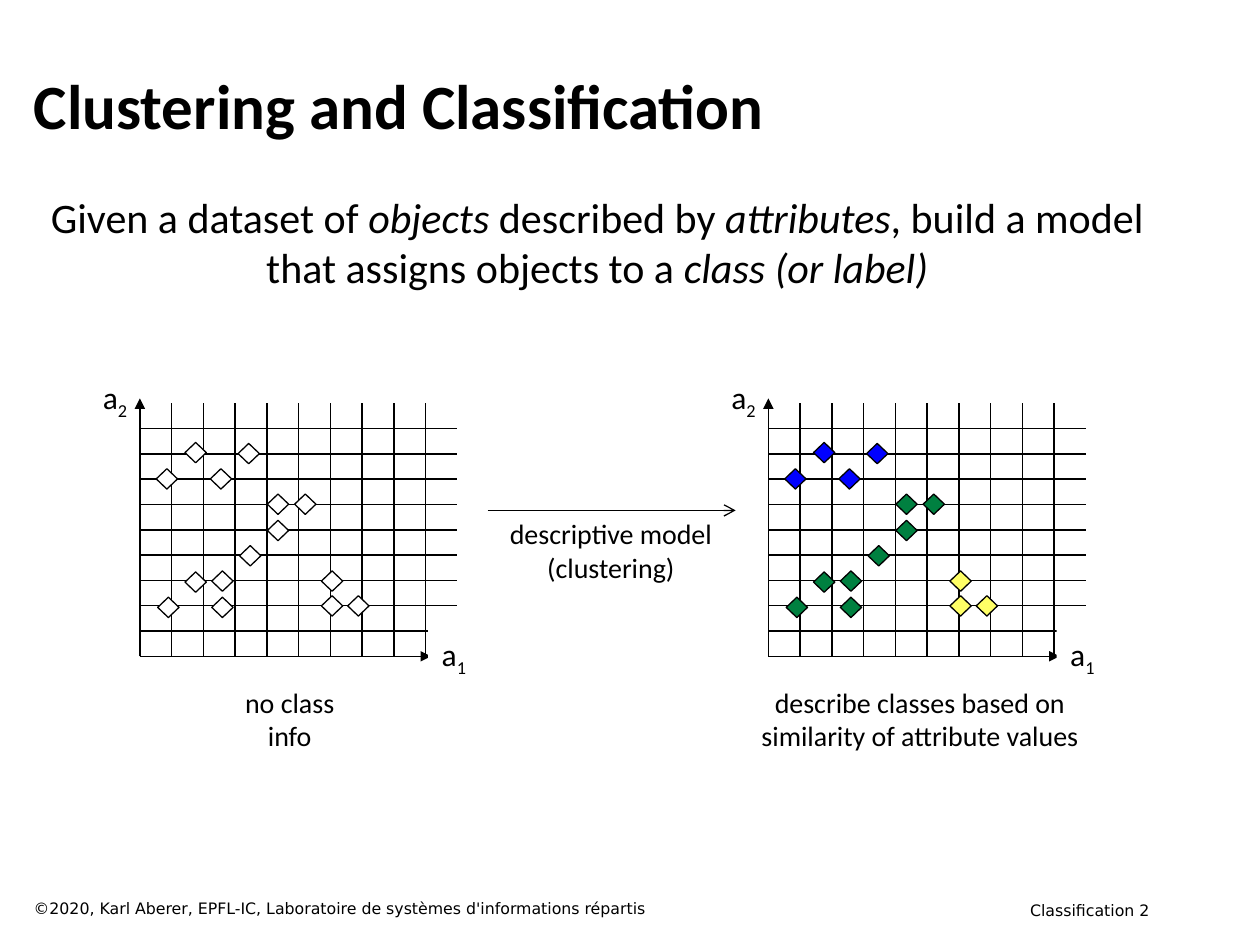
from lxml import etree
from pptx import Presentation
from pptx.dml.color import RGBColor
from pptx.enum import shapes, text
from pptx.oxml.ns import qn
from pptx.util import Cm, Pt

COLORS = {"black": "000000", "white": "FFFFFF", "green": "008040",
          "yellow": "FFFF66", "blue": "0000FF"}
RGB = {name: RGBColor.from_string(value) for name, value in COLORS.items()}
ALIGN = text.PP_ALIGN


def put_text(sp, paragraphs, size, align, font="Calibri", wrap=True):
    """Fill a shape; each paragraph is a list of (text, style) runs."""
    tf = sp.text_frame
    tf.word_wrap = wrap
    for i, runs in enumerate(paragraphs):
        p = tf.add_paragraph() if i else tf.paragraphs[0]
        p.alignment = align
        for words, style in runs:
            r = p.add_run()
            r.text = words
            r.font.name, r.font.size = font, Pt(size)
            r.font.color.rgb = RGB["black"]
            r.font.bold = style == "bold"
            r.font.italic = style == "italic"
            if style == "sub":
                r.font._element.set("baseline", "-25000")


def add_arrow(x1, y1, x2, y2, head):
    line = s.shapes.add_connector(shapes.MSO_CONNECTOR.STRAIGHT,
                                  Cm(x1), Cm(y1), Cm(x2), Cm(y2))
    line.line.color.rgb = RGB["black"]
    line.line.width = Pt(0.75)
    etree.SubElement(line.line._get_or_add_ln(), qn("a:tailEnd"), type=head)
    etree.SubElement(line._element.spPr, qn("a:effectLst"))


prs = Presentation()
prs.slide_width, prs.slide_height = Cm(25.4), Cm(19.05)
s = prs.slides.add_slide(prs.slide_layouts[5])

# Title
title = s.shapes.title
title.left, title.top, title.width, title.height = Cm(0.43), Cm(0.84), Cm(23.06), Cm(2.54)
title.text_frame.vertical_anchor = text.MSO_ANCHOR.MIDDLE
put_text(title, [[("Clustering and Classification", "bold")]], 36, ALIGN.LEFT)

# Definition
body = s.shapes.add_textbox(Cm(0.51), Cm(3.73), Cm(23.06), Cm(13.97))
put_text(body, [[("Given a dataset of ", ""), ("objects", "italic"),
                 (" described by ", ""), ("attributes", "italic"),
                 (", build a model that assigns objects to a ", ""),
                 ("class (or label)", "italic")]], 24, ALIGN.CENTER)

# Footer
footer = s.shapes.add_textbox(Cm(0.43), Cm(17.99), Cm(16.31), Cm(0.64))
put_text(footer, [[("©2020, Karl Aberer, EPFL-IC, Laboratoire de systèmes "
                    "d'informations répartis", "")]], 9, ALIGN.LEFT, "DejaVu Sans")
page = s.shapes.add_textbox(Cm(17.63), Cm(18.03), Cm(5.79), Cm(0.41))
put_text(page, [[("Classification 2", "")]], 9, ALIGN.RIGHT, "DejaVu Sans")

# Object positions: x from the vertical axis, y on the slide
GROUPS = {
    "green": [(0.36, 12.04), (0.91, 11.53), (1.45, 11.51), (1.45, 12.04),
              (2.01, 11), (2.57, 10.49), (2.57, 9.96), (3.12, 9.96)],
    "yellow": [(3.66, 11.51), (3.66, 12.01), (4.19, 12.01)],
    "blue": [(0.91, 8.92), (1.42, 9.45), (0.33, 9.45), (1.98, 8.94)],
}
N, COL, ROW = 10, 0.64, 0.51
AXIS_Y = 13.23

# Two plots: axis x, whether classes are coloured, caption (left, width, lines)
PLOTS = [
    (2.82, False, 4.67, 2.34, ["no class", "info"]),
    (15.49, True, 15.04, 7.01, ["describe classes based on", "similarity of attribute values"]),
]
for x0, classed, cap_left, cap_width, caption in PLOTS:
    # Grid with inner borders only
    frame = s.shapes.add_table(N, N, Cm(x0), Cm(8.13), Cm(N * COL), Cm(N * ROW))
    table = frame.table
    table.first_row = table.horz_banding = False
    for i in range(N):
        table.columns[i].width = Cm(COL)
        table.rows[i].height = Cm(ROW)
        for j in range(N):
            cell = table.cell(i, j)
            cell.margin_left = cell.margin_right = cell.margin_top = cell.margin_bottom = 0
            etree.SubElement(cell.text_frame.paragraphs[0]._p, qn("a:endParaRPr"), sz="100")
            tc_pr = cell._tc.get_or_add_tcPr()
            inner = {"lnL": j > 0, "lnR": j < N - 1, "lnT": i > 0, "lnB": i < N - 1}
            for tag, shown in inner.items():
                ln = etree.SubElement(tc_pr, qn("a:" + tag), w=str(Pt(1)))
                fill = etree.SubElement(ln, qn("a:solidFill" if shown else "a:noFill"))
                if shown:
                    etree.SubElement(fill, qn("a:srgbClr"), val=COLORS["black"])
            cell.fill.solid()
            cell.fill.fore_color.rgb = RGB["white"]

    # Axes
    add_arrow(x0, AXIS_Y, x0, 8.03, "triangle")
    add_arrow(x0, AXIS_Y, x0 + 5.87, AXIS_Y, "triangle")

    # Objects
    for color, points in GROUPS.items():
        for dx, y in points:
            sp = s.shapes.add_shape(shapes.MSO_SHAPE.DIAMOND,
                                    Cm(x0 + dx), Cm(y), Cm(0.43), Cm(0.41))
            sp.shadow.inherit = False
            sp.fill.solid()
            sp.fill.fore_color.rgb = RGB[color if classed else "white"]
            sp.line.color.rgb = RGB["black"]
            sp.line.width = Pt(0.75)

    # Axis labels; the upper one lies behind the grid and the arrowhead
    for index, dx, y in [("2", -1.02, 7.49), ("1", 5.81, 12.67)]:
        label = s.shapes.add_textbox(Cm(x0 + dx), Cm(y), Cm(1.04), Cm(1.02))
        label.fill.solid()
        label.fill.fore_color.rgb = RGB["white"]
        put_text(label, [[("a", ""), (index, "sub")]], 18, ALIGN.CENTER, wrap=False)
        if index == "2":
            frame._element.addprevious(label._element)

    # Caption
    sp = s.shapes.add_textbox(Cm(cap_left), Cm(13.69), Cm(cap_width), Cm(1.63))
    put_text(sp, [[(words, "")] for words in caption], 16, ALIGN.CENTER, wrap=False)

# Step from the left plot to the right one
step = s.shapes.add_textbox(Cm(9.99), Cm(10.29), Cm(4.65), Cm(1.63))
put_text(step, [[("descriptive model", "")], [("(clustering)", "")]], 16,
         ALIGN.CENTER, wrap=False)
add_arrow(9.83, 10.29, 14.83, 10.29, "arrow")

prs.save("out.pptx")
